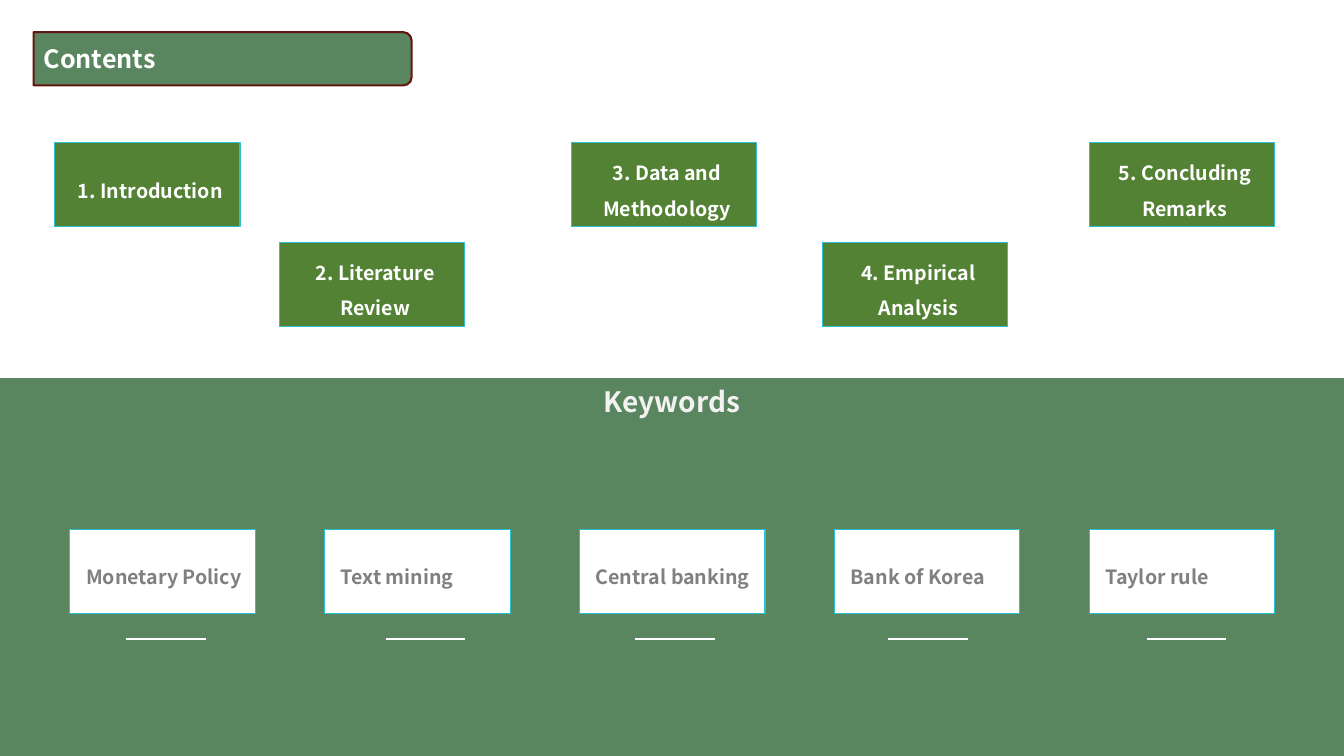
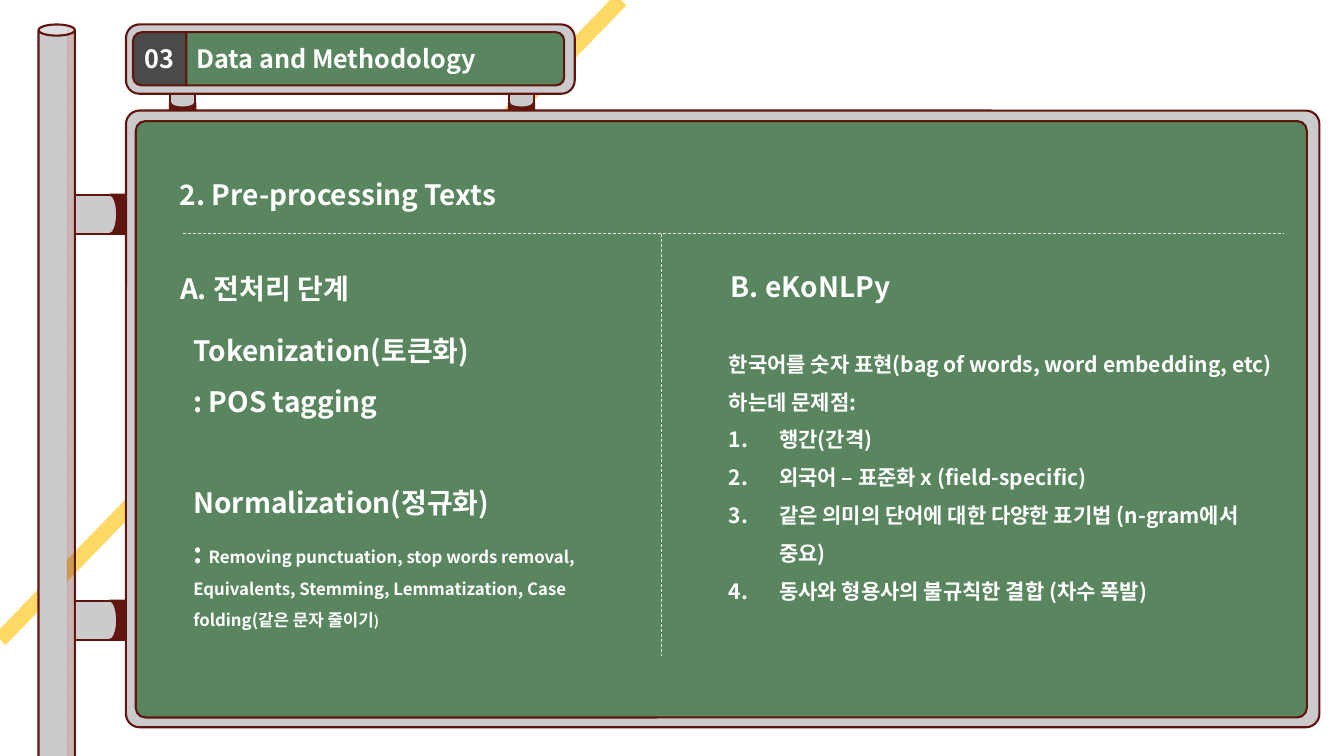
"""Build a contents slide and a text pre-processing slide on a signboard."""
from lxml.etree import SubElement
from pptx import Presentation
from pptx.dml.color import RGBColor
from pptx.enum.dml import MSO_LINE
from pptx.enum.shapes import MSO_CONNECTOR, MSO_SHAPE
from pptx.enum.text import MSO_ANCHOR, PP_ALIGN
from pptx.oxml.ns import qn
from pptx.util import Pt

FONT = "Noto Sans CJK KR"
WHITE = RGBColor(0xFF, 0xFF, 0xFF)
PALE = RGBColor(0xF2, 0xF2, 0xF2)
GRAY = RGBColor(0x80, 0x80, 0x80)
DARK = RGBColor(0x4A, 0x4A, 0x4A)
STEEL = RGBColor(0xCB, 0xCB, 0xCE)
GREEN = RGBColor(0x59, 0x86, 0x5F)
LEAF = RGBColor(0x54, 0x82, 0x35)
CYAN = RGBColor(0x2B, 0xC0, 0xD4)
MAROON = RGBColor(0x60, 0x15, 0x0F)
YELLOW = RGBColor(0xFF, 0xD9, 0x66)

WIDE, HIGH = 960, 540
TAB_TOP, TAB_HIGH, TAB_WIDE = 23, 38, 270
CARD = (132.5, 60)
CARD_PAD = (11.5, 3.6, 7.2, 3.6)
BOX_PAD = (7.2, 3.6, 7.2, 3.6)

TOPICS = [
    ("1. Introduction", 39),
    ("2. Literature Review", 199.5),
    ("3. Data and Methodology", 408),
    ("4. Empirical Analysis", 587.5),
    ("5. Concluding Remarks", 778),
]
TOPIC_TOPS = (102, 173)
KEYS = [
    ("Monetary Policy", 90),
    ("Text mining", 275.5),
    ("Central banking", 453.5),
    ("Bank of Korea", 634.5),
    ("Taylor rule", 819),
]
KEY_LEFT, KEY_STEP, KEY_TOP = 50, 182, 378
RULE_TOP, RULE_WIDE = 456.5, 57

HEADS = [
    ("2. Pre-processing Texts", (121.5, 111, 518, 39)),
    ("A. 전처리 단계", (121.5, 178.5, 228, 39)),
    ("B. eKoNLPy", (515, 177, 228, 39)),
]
STEPS = [
    ["Tokenization(토큰화)", ": POS tagging"],
    [
        "Normalization(정규화)",
        [
            (": ", 20),
            ("Removing punctuation, stop words removal, Equivalents, "
             "Stemming, Lemmatization, Case folding(같은 문자 줄이기", 12),
            (")", 10),
        ],
    ],
]
ISSUE = "한국어를 숫자 표현(bag of words, word embedding, etc)하는데 문제점:"
ISSUES = [
    "행간(간격)",
    "외국어 – 표준화 x (field-specific)",
    "같은 의미의 단어에 대한 다양한 표기법 (n-gram에서 중요)",
    "동사와 형용사의 불규칙한 결합 (차수 폭발)",
]
PEGS, ARMS = (121.5, 363.5), (429, 139)
PANELS = [
    ((90, 79, 852.5, 440.5), 0.022, STEEL),
    ((97, 86.5, 836.5, 426), 0.016, GREEN),
    ((90, 17.5, 320.5, 49.5), 0.193, STEEL),
]


def write(shape, paras, size=20, color=WHITE, align=PP_ALIGN.LEFT,
          space=1.5, anchor=MSO_ANCHOR.TOP, pad=BOX_PAD):
    """Fill a shape with bold paragraphs, each a string or (text, size) runs."""
    frame = shape.text_frame
    frame.word_wrap = True
    frame.vertical_anchor = anchor
    (frame.margin_left, frame.margin_top,
     frame.margin_right, frame.margin_bottom) = map(Pt, pad)
    for i, runs in enumerate(paras):
        para = frame.add_paragraph() if i else frame.paragraphs[0]
        para.alignment = align
        para.line_spacing = space
        for text, points in [(runs, size)] if isinstance(runs, str) else runs:
            run = para.add_run()
            run.text = text
            font = run.font
            font.name, font.size, font.bold = FONT, Pt(points), True
            font.color.rgb = color
            SubElement(run.font._element, qn("a:ea"), typeface=FONT)
    return frame.paragraphs


def draw(slide, kind, box, fill, edge=MAROON, width=1.5, adj=(), turn=0, flip=False):
    """Add a preset shape."""
    shape = slide.shapes.add_shape(kind, *map(Pt, box))
    shape.shadow.inherit = False
    shape.fill.solid()
    shape.fill.fore_color.rgb = fill
    if edge is None:
        shape.line.fill.background()
    else:
        shape.line.color.rgb = edge
        shape.line.width = Pt(width)
    for i, value in enumerate(adj):
        shape.adjustments[i] = value
    shape.rotation = turn
    if flip:
        shape.element.spPr.find(qn("a:xfrm")).set("flipH", "1")
    return shape


def rule(slide, ends, color, width, dash=None):
    """Add a straight line."""
    line = slide.shapes.add_connector(MSO_CONNECTOR.STRAIGHT, *map(Pt, ends))
    line.line.color.rgb = color
    line.line.width = Pt(width)
    if dash:
        line.line.dash_style = dash
    SubElement(line.element.spPr, qn("a:effectLst"))


def label(slide, box, paras, **style):
    """Add a text box."""
    return write(slide.shapes.add_textbox(*map(Pt, box)), paras, **style)


def tab(slide, left, wide, text, fill, adj, align=PP_ALIGN.LEFT):
    """Add a sideways title tab and its upright text."""
    gap = (wide - TAB_HIGH) / 2
    draw(slide, MSO_SHAPE.ROUND_2_SAME_RECTANGLE,
         (left + gap, TAB_TOP - gap, TAB_HIGH, wide), fill, adj=adj, turn=270)
    pad = (0, 0, 0, 0) if align == PP_ALIGN.CENTER else BOX_PAD
    label(slide, (left, TAB_TOP, wide, TAB_HIGH), [text], size=18, space=1,
          align=align, anchor=MSO_ANCHOR.MIDDLE, pad=pad)


def title(slide, left, text):
    """Add the green title tab."""
    tab(slide, left, TAB_WIDE, text, GREEN, (0, 0.156))


def card(slide, left, top, text, fill, color, align):
    """Add a boxed label."""
    shape = draw(slide, MSO_SHAPE.RECTANGLE, (left, top, *CARD), fill, CYAN, 0.75)
    write(shape, [text], size=14, color=color, align=align,
          anchor=MSO_ANCHOR.MIDDLE, pad=CARD_PAD)


def contents(slide):
    """Draw the contents and keywords."""
    draw(slide, MSO_SHAPE.RECTANGLE, (0, HIGH / 2, WIDE, HIGH / 2), GREEN, None)
    label(slide, (240, 267, 480, 39), ["Keywords"], color=PALE, space=1,
          align=PP_ALIGN.CENTER, anchor=MSO_ANCHOR.MIDDLE)
    title(slide, 24, "Contents")
    for i, (text, left) in enumerate(TOPICS):
        card(slide, left, TOPIC_TOPS[i % 2], text, LEAF, WHITE, PP_ALIGN.CENTER)
    for i, (text, left) in enumerate(KEYS):
        card(slide, KEY_LEFT + i * KEY_STEP, KEY_TOP, text, WHITE, GRAY, PP_ALIGN.JUSTIFY)
        rule(slide, (left, RULE_TOP, left + RULE_WIDE, RULE_TOP), WHITE, 1.25)


def board(slide):
    """Draw the signboard and its pole."""
    store = MSO_SHAPE.FLOWCHART_STORED_DATA
    rule(slide, (0, 457, 443.5, 0), YELLOW, 11)
    for left in PEGS:
        draw(slide, MSO_SHAPE.RECTANGLE, (left, 56, 18, 41), STEEL)
        draw(slide, store, (left - 1.75, 75, 21.5, 18), MAROON, turn=90, flip=True)
    for top in ARMS:
        draw(slide, MSO_SHAPE.RECTANGLE, (53.5, top, 60.5, 28), STEEL)
        draw(slide, store, (78.5, top, 31.5, 28), MAROON, flip=True)
    for box, bend, fill in PANELS:
        draw(slide, MSO_SHAPE.ROUNDED_RECTANGLE, box, fill, adj=(bend,))
    pole = draw(slide, MSO_SHAPE.CAN, (27.5, 17.5, 26, 533), STEEL, adj=(0.307,))
    pole.fill.gradient()
    pole.fill.gradient_angle = 0
    for stop, place, color in zip(pole.fill.gradient_stops, (0.78, 0.79), (STEEL, MAROON)):
        stop.position = place
        stop.color.rgb = color
    tint = pole.element.spPr.find(qn("a:gradFill")).findall(".//" + qn("a:srgbClr"))[1]
    SubElement(tint, qn("a:alpha"), val="31000")


def method(slide):
    """Draw the pre-processing slide."""
    board(slide)
    tab(slide, 95, TAB_HIGH, "03", DARK, (0.167, 0), PP_ALIGN.CENTER)
    title(slide, 133, "Data and Methodology")
    for ends in ((131, 167, 917, 167), (472.5, 167, 472.5, 468.5)):
        rule(slide, ends, PALE, 0.5, MSO_LINE.DASH)
    for text, box in HEADS:
        label(slide, box, [text])
    first, second = STEPS
    paras = label(slide, (131, 223, 324, 230), first + second)
    paras[len(first)].space_before = Pt(36)
    paras = label(slide, (513.5, 238.5, 404.5, 194.5), [ISSUE] + ISSUES, size=15)
    for para in paras[1:]:
        props = para._p.get_or_add_pPr()
        props.set("marL", str(Pt(36)))
        props.set("indent", str(-Pt(36)))
        SubElement(props, qn("a:buFont"), typeface="+mj-lt")
        SubElement(props, qn("a:buAutoNum"), type="arabicPeriod")


def main():
    """Build and save the slides."""
    deck = Presentation()
    deck.slide_width, deck.slide_height = Pt(WIDE), Pt(HIGH)
    for build in (contents, method):
        build(deck.slides.add_slide(deck.slide_layouts[6]))
    deck.save("out.pptx")


if __name__ == "__main__":
    main()
